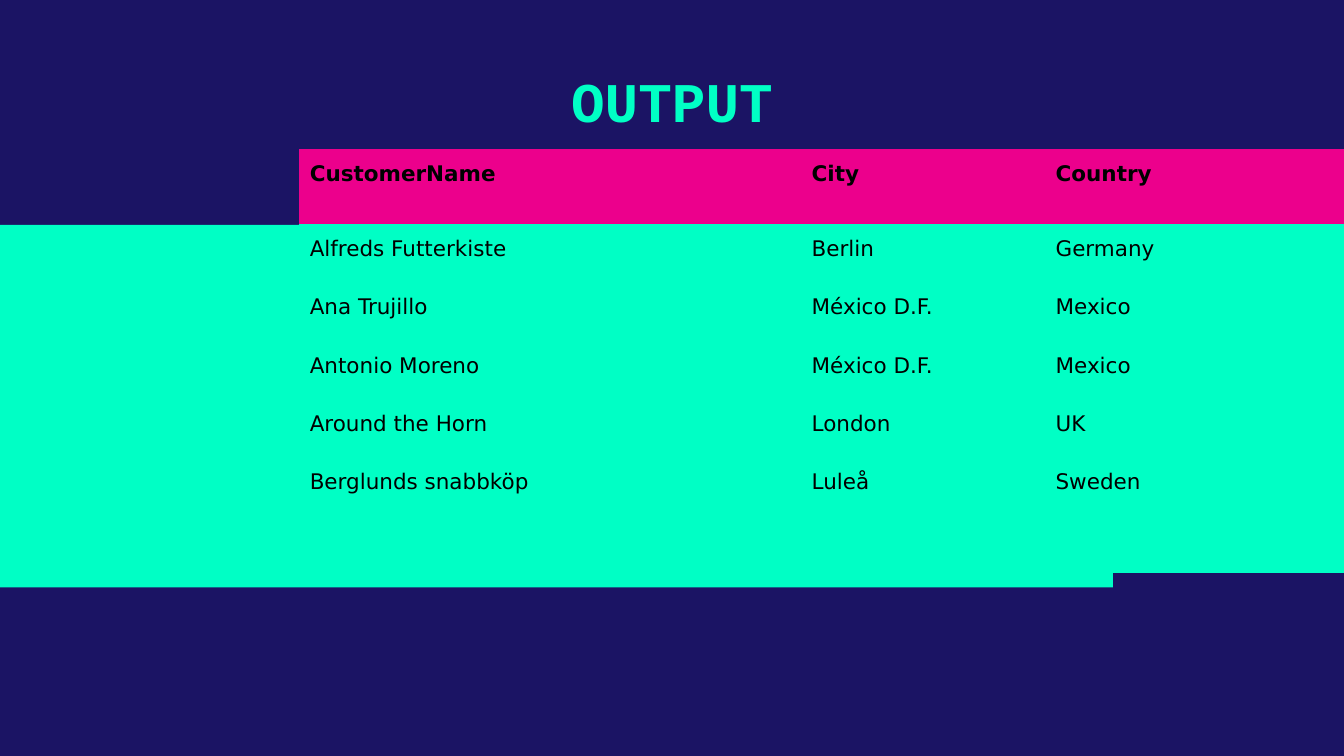
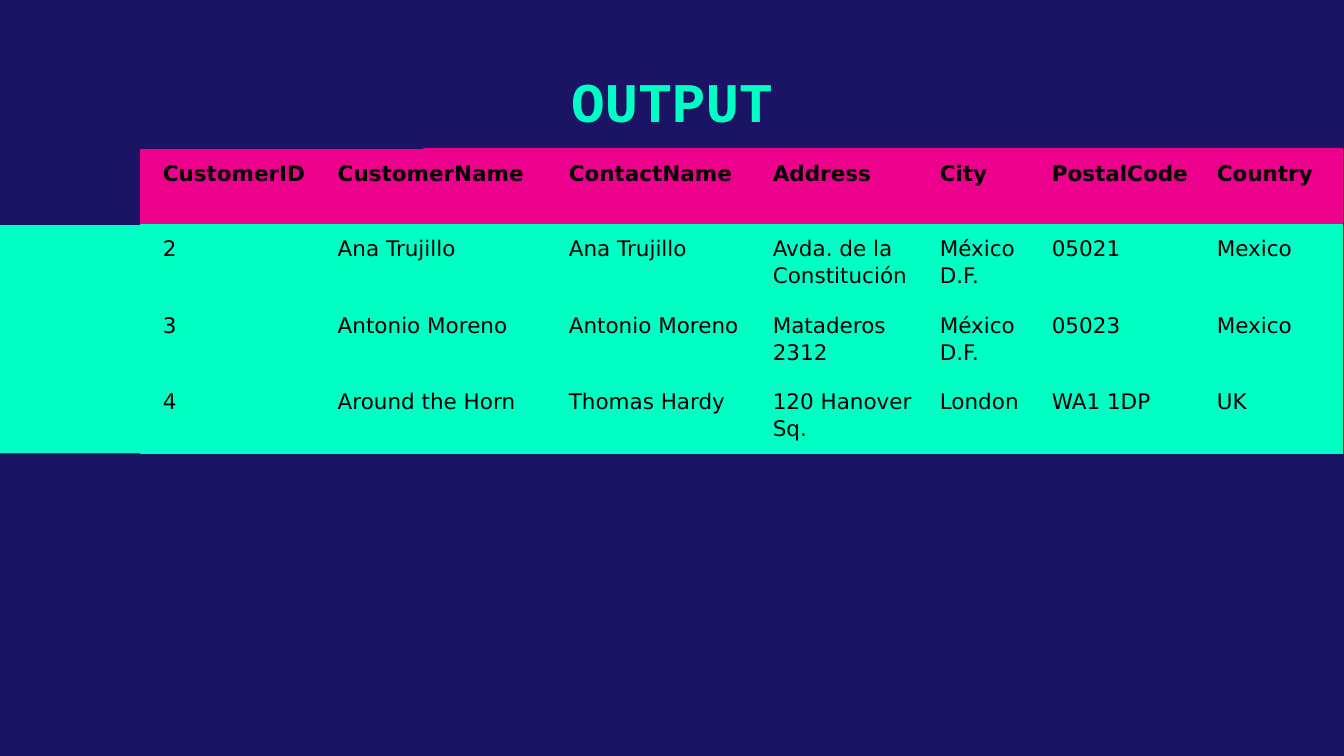
from pptx import Presentation
from pptx.dml.color import RGBColor
from pptx.enum.shapes import MSO_SHAPE
from pptx.enum.text import MSO_ANCHOR, PP_ALIGN
from pptx.oxml.ns import qn
from pptx.util import Pt

NAVY, MINT, PINK, BLACK = "1B1464", "00FFC5", "EC008C", "000000"
TITLE_FONT, TABLE_FONT = "Courier New", "DejaVu Sans"
NO_STYLE = "{2D5ABB26-0587-4C30-8999-92F81FD0307C}"
TABLE_LEFT, TABLE_TOP, HEADER_HEIGHT = 29.5, 79.9, 40.2
INSET, WIDE_INSET = 5.76, 12.2

# Content: bands are (left, top, width, height, colour); lengths in points.
# The first table column is an empty, unfilled gutter.
SLIDES = [
    {
        "title": "OUTPUT",
        "bands": [(0, 120.5, 596.2, 194.3, MINT), (226.8, 79.9, 492.5, 41, PINK)],
        "widths": [130.7, 268.9, 130.7, 160.2],
        "row_height": 31.2,
        "first_inset": INSET,
        "rows": [
            ("CustomerName", "City", "Country"),
            ("Alfreds Futterkiste", "Berlin", "Germany"),
            ("Ana Trujillo", "México D.F.", "Mexico"),
            ("Antonio Moreno", "México D.F.", "Mexico"),
            ("Around the Horn", "London", "UK"),
            ("Berglunds snabbköp", "Luleå", "Sweden"),
            ("", "", ""),
        ],
    },
    {
        "title": "OUTPUT",
        "bands": [(0, 120.6, 594.7, 122.2, MINT), (226.8, 79.3, 492.5, 76.3, PINK)],
        "widths": [45.5, 100.2, 123.8, 109.3, 89.5, 60, 88.4, 73.4],
        "row_height": 40.7,
        "first_inset": WIDE_INSET,
        "rows": [
            ("CustomerID", "CustomerName", "ContactName", "Address", "City",
             "PostalCode", "Country"),
            ("2", "Ana Trujillo", "Ana Trujillo", "Avda. de la Constitución",
             "México D.F.", "05021", "Mexico"),
            ("3", "Antonio Moreno", "Antonio Moreno", "Mataderos 2312",
             "México D.F.", "05023", "Mexico"),
            ("4", "Around the Horn", "Thomas Hardy", "120 Hanover Sq.",
             "London", "WA1 1DP", "UK"),
        ],
    },
]


def paint(fill, color):
    fill.solid()
    fill.fore_color.rgb = RGBColor.from_string(color)


def style(p, font, size, color, bold):
    for r in p.runs:
        r.font.name, r.font.size, r.font.bold = font, Pt(size), bold
        r.font.color.rgb = RGBColor.from_string(color)


def add_band(s, left, top, width, height, color):
    sp = s.shapes.add_shape(MSO_SHAPE.RECTANGLE, Pt(left), Pt(top), Pt(width), Pt(height))
    sp.shadow.inherit = False
    paint(sp.fill, color)
    sp.line.fill.background()


def add_title(s, text):
    tf = s.shapes.add_textbox(Pt(100.8), Pt(27.4), Pt(518.4), Pt(52.6)).text_frame
    tf.word_wrap = True
    tf.vertical_anchor = MSO_ANCHOR.MIDDLE
    tf.margin_left = tf.margin_right = tf.margin_top = tf.margin_bottom = Pt(7.2)
    tf.text = text
    p = tf.paragraphs[0]
    p.alignment = PP_ALIGN.CENTER
    style(p, TITLE_FONT, 30, MINT, True)


def fill_cell(cell, text, header, left_inset):
    paint(cell.fill, PINK if header else MINT)
    cell.margin_left = Pt(left_inset)
    cell.margin_right = cell.margin_top = cell.margin_bottom = Pt(INSET)
    if text:
        cell.text = text
        p = cell.text_frame.paragraphs[0]
        p.line_spacing = 1.07
        style(p, TABLE_FONT, 11.5, BLACK, header)
    else:
        cell.text_frame.paragraphs[0].font.size = Pt(11.5)


def add_output_table(s, rows, widths, row_height, first_inset):
    heights = [HEADER_HEIGHT] + [row_height] * (len(rows) - 1)
    frame = s.shapes.add_table(len(rows), len(widths), Pt(TABLE_LEFT), Pt(TABLE_TOP),
                               Pt(sum(widths)), Pt(sum(heights)))
    table = frame.table
    table.first_row = table.horz_banding = False
    for style_id in frame.element.iter(qn("a:tableStyleId")):
        style_id.text = NO_STYLE
    for column, width in zip(table.columns, widths):
        column.width = Pt(width)
    for i, (values, height) in enumerate(zip(rows, heights)):
        table.rows[i].height = Pt(height)
        table.cell(i, 0).fill.background()
        for j, text in enumerate(values, start=1):
            fill_cell(table.cell(i, j), text, i == 0, first_inset if j == 1 else INSET)


def main():
    prs = Presentation()
    prs.slide_width, prs.slide_height = Pt(720), Pt(405)
    for data in SLIDES:
        s = prs.slides.add_slide(prs.slide_layouts[6])
        paint(s.background.fill, NAVY)
        for band in data["bands"]:
            add_band(s, *band)
        add_title(s, data["title"])
        add_output_table(s, data["rows"], data["widths"], data["row_height"],
                         data["first_inset"])
    prs.save("out.pptx")


if __name__ == "__main__":
    main()
